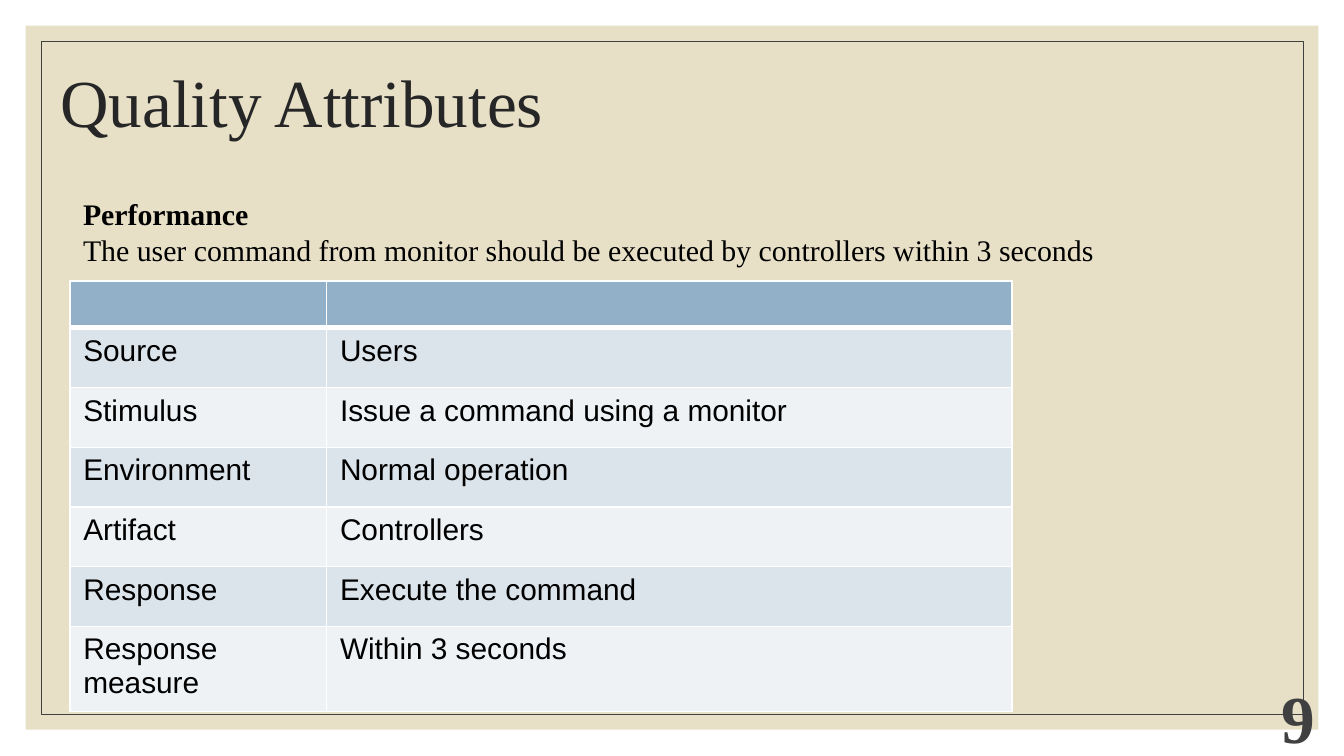
"""Builds the Quality Attributes slide."""
from lxml import etree
from pptx import Presentation
from pptx.dml.color import RGBColor
from pptx.enum import shapes, text
from pptx.oxml import ns
from pptx.util import Inches, Pt

COLORS = {"sand": "E7E0C7", "frame": "404040", "title": "262626", "ink": "000000",
          "head": "92B0C8", "odd": "DCE4EB", "even": "EEF2F5", "rule": "FFFFFF"}
SERIF, SANS = "Times New Roman", "Arial"
SCENARIO = [("Source", "Users"),
            ("Stimulus", "Issue a command using a monitor"),
            ("Environment", "Normal operation"),
            ("Artifact", "Controllers"),
            ("Response", "Execute the command"),
            ("Response measure", "Within 3 seconds")]


def rgb(name):
    """Return the named colour."""
    return RGBColor.from_string(COLORS[name])


def style(p, face, size, color, bold=False):
    """Set the font of a paragraph."""
    p.font.name, p.font.size, p.font.bold = face, Pt(size), bold
    p.font.color.rgb = rgb(color)


def add_panel(s, box, fill=None, line=None):
    """Draw a rectangle with a fill or an outline."""
    sp = s.shapes.add_shape(shapes.MSO_SHAPE.RECTANGLE, *map(Inches, box))
    sp.shadow.inherit = False
    if fill:
        sp.fill.solid()
        sp.fill.fore_color.rgb = rgb(fill)
    else:
        sp.fill.background()
    if line:
        sp.line.color.rgb = rgb(line)
        sp.line.width = Pt(0.5)
    else:
        sp.line.fill.background()


def add_text(s, box, lines, size, color, spacing=1.0):
    """Add a text box of (words, bold) lines and return its frame."""
    tf = s.shapes.add_textbox(*map(Inches, box)).text_frame
    tf.word_wrap = True
    tf.margin_left = tf.margin_right = tf.margin_top = tf.margin_bottom = Inches(0.1)
    for i, (words, bold) in enumerate(lines):
        p = tf.add_paragraph() if i else tf.paragraphs[0]
        p.text = words
        p.line_spacing = spacing
        style(p, SERIF, size, color, bold)
    return tf


def set_borders(cell, widths):
    """Draw cell borders, widths in points by side tag."""
    tc_pr = cell._tc.get_or_add_tcPr()
    for i, (side, width) in enumerate(widths.items()):
        ln = etree.Element(ns.qn("a:" + side), w=str(Pt(width)))
        fill = etree.SubElement(ln, ns.qn("a:solidFill"))
        etree.SubElement(fill, ns.qn("a:srgbClr"), val=COLORS["rule"])
        tc_pr.insert(i, ln)


def add_scenario(s, box, rows, head_height=0.35):
    """Add the scenario table below an empty header row."""
    left, top, width, height = map(Inches, box)
    table = s.shapes.add_table(len(rows) + 1, 2, left, top, width, height).table
    table.columns[0].width = Inches(1.91)
    table.columns[1].width = width - Inches(1.91)
    for i, row in enumerate([("", "")] + rows):
        table.rows[i].height = Inches(4 / 9 if i else head_height)
        for cell, words in zip(table.rows[i].cells, row):
            cell.fill.solid()
            cell.fill.fore_color.rgb = rgb(("odd" if i % 2 else "even") if i else "head")
            set_borders(cell, {"lnL": 1, "lnR": 1, "lnT": 3 if i == 1 else 1,
                               "lnB": 1 if i else 3})
            if words:
                cell.text = words
                style(cell.text_frame.paragraphs[0], SANS, 16, "ink")
            else:
                cell.margin_top = cell.margin_bottom = 0


def build_slide(prs):
    """Place every region of the slide."""
    s = prs.slides.add_slide(prs.slide_layouts[6])
    add_panel(s, (0.19, 0.19, 9.62, 5.24), fill="sand")
    add_panel(s, (0.31, 0.31, 9.39, 5.01), line="frame")
    add_text(s, (0.35, 0.42, 9.32, 0.68), [("Quality Attributes", False)], 36, "title", 0.9)
    number = add_text(s, (9.28, 5.12, 0.6, 0.43), [("9", True)], 36, "frame")
    number.vertical_anchor = text.MSO_ANCHOR.MIDDLE
    number.paragraphs[0].alignment = text.PP_ALIGN.RIGHT
    add_text(s, (0.52, 1.36, 9.14, 3.67),
             [("Performance", True),
              ("The user command from monitor should be executed by controllers "
               "within 3 seconds", False)], 16, "ink")
    add_scenario(s, (0.52, 2.09, 7.01, 3.03), SCENARIO)


prs = Presentation()
prs.slide_width, prs.slide_height = Inches(10), Inches(10 * 9 / 16)
build_slide(prs)
prs.save("out.pptx")
